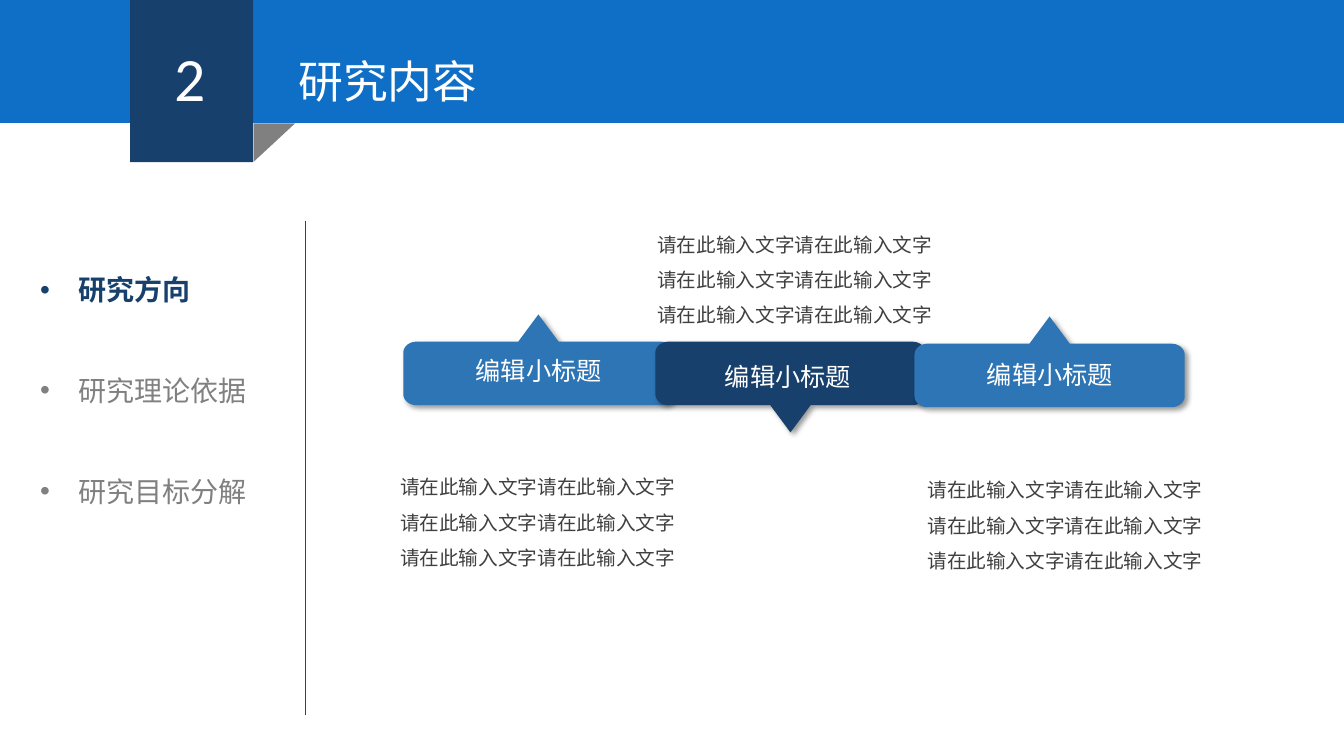
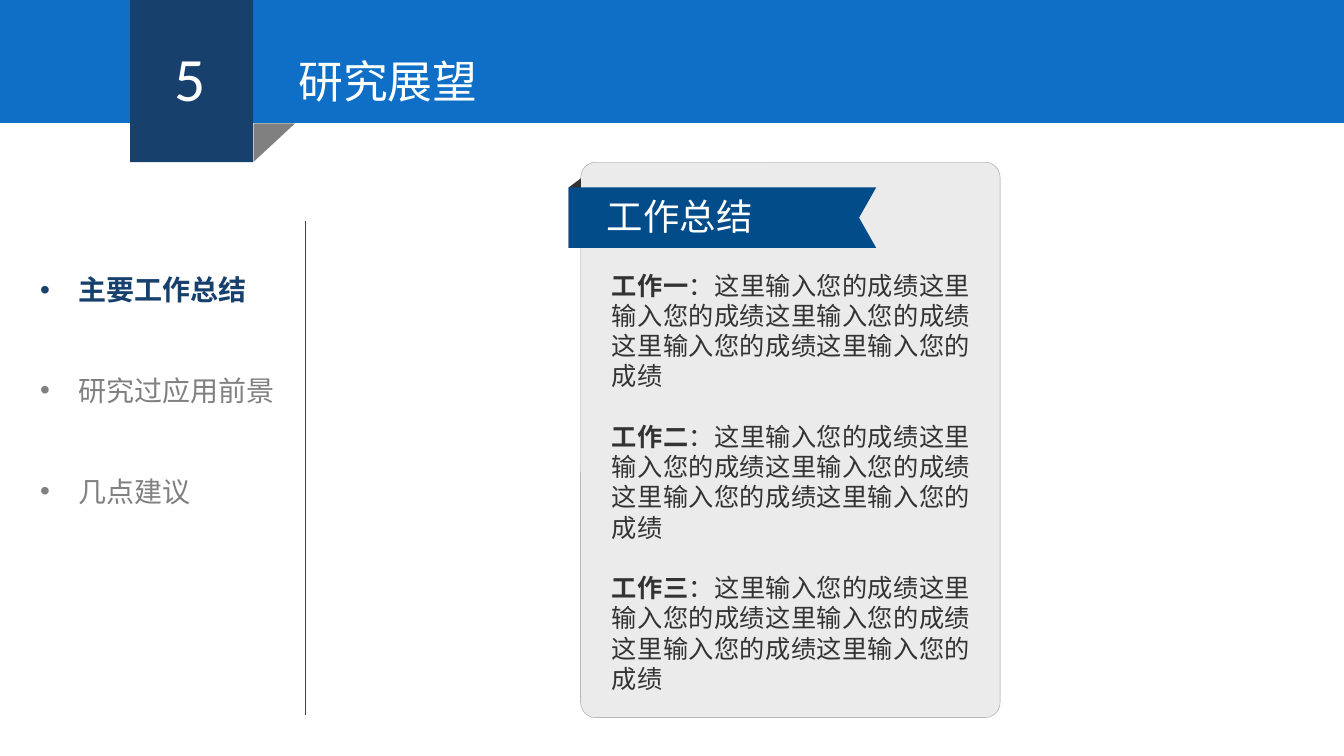
from math import cos, sin, radians
from pptx import Presentation
from pptx.dml.color import RGBColor
from pptx.enum.shapes import MSO_CONNECTOR as CONN, MSO_SHAPE as SHAPE
from pptx.enum.text import PP_ALIGN as ALIGN
from pptx.oxml import parse_xml
from pptx.oxml.ns import nsdecls, qn
from pptx.util import Inches, Pt

BLUE, NAVY, MID_BLUE, RIBBON = "0F6FC6", "17406D", "2E75B5", "024C89"
WHITE, GREY, RULE, BODY, INK = "FFFFFF", "808080", "404040", "404040", "333333"
CARD, CARD_EDGE = "EBEBEB", "999999"
LATIN, CJK = "Calibri", "Noto Sans CJK SC"

CONTENT = {
    "number": "2", "title": "研究内容",
    "menu": ["研究方向", "研究理论依据", "研究目标分解"],
}
OUTLOOK = {
    "number": "5", "title": "研究展望",
    "menu": ["主要工作总结", "研究过应用前景", "几点建议"],
}
CALLOUT_LABEL = "编辑小标题"
CALLOUT_BODY = "请在此输入文字" * 6
CALLOUTS = [
    dict(at=(4, 3.39), color=MID_BLUE, up=True, label=(4.62, 3.48), body=(3.87, 4.55)),
    dict(at=(6.5, 3.39), color=NAVY, up=False, label=(7.09, 3.54), body=(6.42, 2.14)),
    dict(at=(9.07, 3.41), color=MID_BLUE, up=True, label=(9.69, 3.52), body=(9.1, 4.58)),
]
CARD_TITLE = "工作总结"
JOBS = ["工作一", "工作二", "工作三"]
JOB_TEXT = "：" + "这里输入您的成绩" * 5


def rgb(color):
    return RGBColor.from_string(color)


def paint(sp, fill, line=None):
    sp.shadow.inherit = False
    sp.fill.solid()
    sp.fill.fore_color.rgb = rgb(fill)
    if line:
        sp.line.color.rgb = rgb(line)
        sp.line.width = Pt(0.25)
    else:
        sp.line.fill.background()
    return sp


def add_box(s, kind, box, fill, line=None):
    return paint(s.shapes.add_shape(kind, *map(Inches, box)), fill, line)


def add_polygon(s, points, fill):
    start, *rest = [(Inches(x), Inches(y)) for x, y in points]
    builder = s.shapes.build_freeform(*start)
    builder.add_line_segments(rest, close=True)
    return paint(builder.convert_to_shape(), fill)


def add_text(s, paragraphs, box, size, color=WHITE, font=CJK, spacing=1,
             gap=0, align=ALIGN.LEFT, bullet=False):
    """Each paragraph is a string or a list of (text, bold, color) runs."""
    tf = s.shapes.add_textbox(*map(Inches, box)).text_frame
    tf.word_wrap = True
    for i, runs in enumerate(paragraphs):
        p = tf.paragraphs[0] if i == 0 else tf.add_paragraph()
        p.alignment = align
        p.line_spacing = Pt(size * 1.2 * spacing)
        p.space_before = Pt(gap if i else 0)
        if bullet:
            pPr = p._p.get_or_add_pPr()
            pPr.set("marL", str(Inches(0.38)))
            pPr.set("indent", str(-Inches(0.38)))
            pPr.append(parse_xml(f'<a:buFont {nsdecls("a")} typeface="Arial"/>'))
            pPr.append(parse_xml(f'<a:buChar {nsdecls("a")} char="•"/>'))
        if isinstance(runs, str):
            runs = [(runs, False, color)]
        for text, bold, run_color in runs:
            r = p.add_run()
            r.text = text
            r.font.size, r.font.bold, r.font.name = Pt(size), bold, font
            r.font.color.rgb = rgb(run_color)
            r._r.get_or_add_rPr().find(qn("a:latin")).addnext(
                parse_xml(f'<a:ea {nsdecls("a")} typeface="{CJK}"/>'))


def add_frame(prs, number, title, menu):
    s = prs.slides.add_slide(prs.slide_layouts[6])
    rule = s.shapes.add_connector(
        CONN.STRAIGHT, *map(Inches, (3.03, 2.19, 3.03, 7.09)))
    rule.line.color.rgb = rgb(RULE)
    rule.line.width = Pt(0.5)
    rule._element.spPr.append(parse_xml(f'<a:effectLst {nsdecls("a")}/>'))
    items = [[(text, i == 0, GREY if i else NAVY)] for i, text in enumerate(menu)]
    add_text(s, items, (0.3, 1.99, 3.21, 3.13), 20, font=LATIN, spacing=3, bullet=True)
    add_box(s, SHAPE.RECTANGLE, (0, 0, 13.33, 1.22), BLUE)
    add_box(s, SHAPE.RECTANGLE, (1.29, 0, 1.22, 1.61), NAVY)
    add_box(s, SHAPE.RIGHT_TRIANGLE, (2.53, 1.21, 0.38, 0.41), GREY).rotation = 90
    add_text(s, [number], (1.63, 0.35, 0.54, 0.84), 44, font=LATIN)
    add_text(s, [title], (2.86, 0.48, 3.91, 0.64), 32, font=LATIN)
    return s


def callout_points(left, top, up):
    w, h, rx, ry, tip, half = 2.68, 0.63, 0.13, 0.11, 0.27, 0.2
    points = [(w / 2 - half, 0), (w / 2, -tip), (w / 2 + half, 0)]
    corners = [(w - rx, ry, -90), (w - rx, h - ry, 0), (rx, h - ry, 90), (rx, ry, 180)]
    for cx, cy, start in corners:
        for step in range(0, 91, 10):
            a = radians(start + step)
            points.append((cx + rx * cos(a), cy + ry * sin(a)))
    return [(left + x, top + (y if up else h - y)) for x, y in points]


def add_callout(s, at, color, up, label, body):
    sp = add_polygon(s, callout_points(*at, up), color)
    sp._element.spPr.find(qn("a:effectLst")).append(parse_xml(
        f'<a:outerShdw {nsdecls("a")} blurRad="{Pt(4)}" dist="{Pt(3)}" dir="2700000">'
        '<a:srgbClr val="000000"><a:alpha val="40000"/></a:srgbClr></a:outerShdw>'))
    add_text(s, [CALLOUT_LABEL], (*label, 1.91, 0.4), 18)
    add_text(s, [CALLOUT_BODY], (*body, 3, 1.97), 14, color=BODY, spacing=1.5)


def build_content(prs):
    s = add_frame(prs, **CONTENT)
    for callout in CALLOUTS:
        add_callout(s, **callout)


def build_outlook(prs):
    s = add_frame(prs, **OUTLOOK)
    card = add_box(s, SHAPE.ROUNDED_RECTANGLE, (5.76, 1.61, 4.16, 5.51), CARD, CARD_EDGE)
    card.adjustments[0] = 0.15 / 4.16
    left, right, top, bottom = 5.64, 8.69, 1.86, 2.46
    add_polygon(s, [(5.76, 1.77), (left, top), (left, bottom), (5.76, 2.36)], INK)
    add_polygon(s, [(right, top), (left, top), (left, bottom), (right, bottom),
                    (8.52, (top + bottom) / 2)], RIBBON)
    add_text(s, [CARD_TITLE], (5.92, 1.88, 2.43, 0.54), 26)
    jobs = [[(job, True, INK), (JOB_TEXT, False, INK)] for job in JOBS]
    add_text(s, jobs, (5.97, 2.63, 3.75, 4.34), 18, gap=21.6, align=ALIGN.JUSTIFY)


def main():
    prs = Presentation()
    prs.slide_width, prs.slide_height = Inches(13.33), Inches(7.5)
    build_content(prs)
    build_outlook(prs)
    prs.save("out.pptx")


if __name__ == "__main__":
    main()
